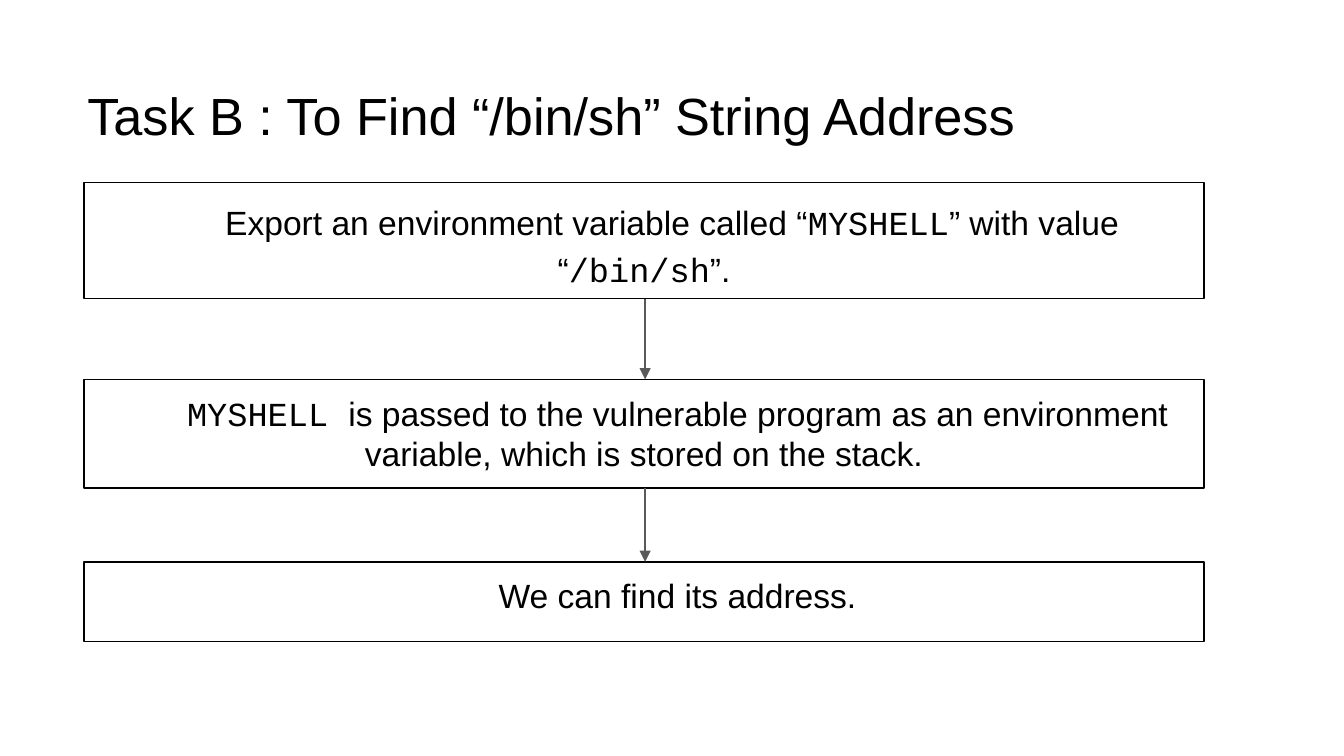
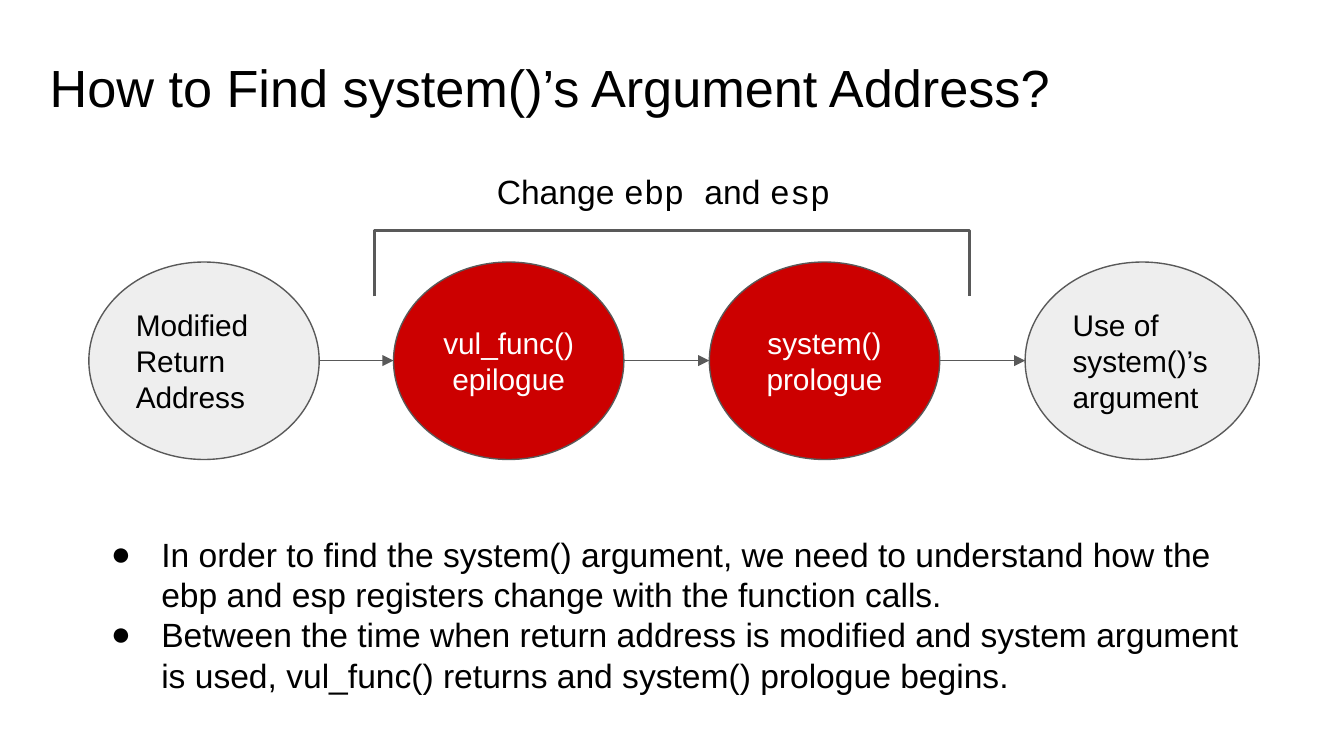
from itertools import pairwise

from lxml import etree
from pptx import Presentation
from pptx.dml.color import RGBColor
from pptx.enum.shapes import MSO_CONNECTOR as Connector, MSO_SHAPE as Shape
from pptx.enum.text import MSO_ANCHOR as Anchor, MSO_AUTO_SIZE as AutoSize, PP_ALIGN as Align
from pptx.oxml.ns import qn
from pptx.util import Pt

COLORS = {"text": "000000", "light_text": "FFFFFF", "line": "595959", "border": "000000",
          "neutral": "EEEEEE", "highlight": "CC0000"}
SANS, MONO = "Arial", "Courier New"
INSET = Pt(7.2)
FRAME_FORMAT = {"word_wrap": True, "auto_size": AutoSize.NONE, "margin_left": INSET,
                "margin_top": INSET, "margin_right": INSET, "margin_bottom": INSET}
PARAGRAPH_FORMAT = {"alignment": Align.LEFT, "line_spacing": 1.0,
                    "space_before": Pt(0), "space_after": Pt(0)}


def color(name):
    return RGBColor.from_string(COLORS[name])


def apply_format(target, values):
    for name, value in values.items():
        setattr(target, name, value)


def place(shape, left, top, width, height):
    apply_format(shape, {"left": Pt(left), "top": Pt(top),
                         "width": Pt(width), "height": Pt(height)})


def write(shape, paragraphs, size, text_color="text", anchor=Anchor.TOP,
          margin=0, indent=0, bullet=None, **paragraph_format):
    """Fill a shape; each paragraph is a list of (text, font name) runs."""
    frame = shape.text_frame
    apply_format(frame, FRAME_FORMAT | {"vertical_anchor": anchor})
    for index, runs in enumerate(paragraphs):
        paragraph = frame.add_paragraph() if index else frame.paragraphs[0]
        apply_format(paragraph, PARAGRAPH_FORMAT | paragraph_format)
        properties = paragraph._p.get_or_add_pPr()
        properties.set("marL", str(Pt(margin)))
        properties.set("indent", str(Pt(indent)))
        if bullet:
            etree.SubElement(properties, qn("a:buFont"), typeface=SANS)
            etree.SubElement(properties, qn("a:buChar"), char=bullet)
        for text, font_name in runs:
            run = paragraph.add_run()
            run.text = text
            apply_format(run.font, {"name": font_name, "size": Pt(size)})
            run.font.color.rgb = color(text_color)


def add_titled_slide(presentation, layout_name, title, left, top):
    layout = presentation.slide_layouts.get_by_name(layout_name)
    slide = presentation.slides.add_slide(layout)
    place(slide.shapes.title, left, top, 671, 45.4)
    write(slide.shapes.title, [[(title, SANS)]], 28)
    return slide


def add_outlined_shape(slide, kind, box, line, fill=None, line_width=0.75):
    shape = slide.shapes.add_shape(kind, *map(Pt, box))
    shape.shadow.inherit = False
    if fill:
        shape.fill.solid()
        shape.fill.fore_color.rgb = color(fill)
    else:
        shape.fill.background()
    shape.line.color.rgb = color(line)
    shape.line.width = Pt(line_width)
    return shape


def add_arrow(slide, start, end):
    arrow = slide.shapes.add_connector(Connector.STRAIGHT, *start, *end)
    arrow.line.color.rgb = color("line")
    arrow.line.width = Pt(0.75)
    etree.SubElement(arrow.line._get_or_add_ln(), qn("a:tailEnd"), type="triangle")
    etree.SubElement(arrow._element.spPr, qn("a:effectLst"))


def build_string_address_slide(presentation):
    slide = add_titled_slide(presentation, "Title Only",
                             "Task B : To Find “/bin/sh” String Address", 39.6, 37.4)
    steps = [
        (97.9, 62.2, [("Export an environment variable called “", SANS), ("MYSHELL", MONO),
                      ("” with value “", SANS), ("/bin/sh", MONO), ("”.", SANS)],
         {"indent": 30, "line_spacing": 1.15, "space_after": Pt(16)}),
        (203.2, 58.2, [("MYSHELL ", MONO),
                       ("is passed to the vulnerable program as an environment variable, "
                        "which is stored on the stack.", SANS)], {"indent": 36}),
        (301, 42.6, [("We can find its address.", SANS)], {"indent": 36}),
    ]
    boxes = []
    for top, height, runs, spacing in steps:
        box = add_outlined_shape(slide, Shape.RECTANGLE, (45, top, 600, height), "border")
        write(box, [runs], 18, alignment=Align.CENTER, **spacing)
        boxes.append(box)
    center = Pt(345.6)
    for upper, lower in pairwise(boxes):
        add_arrow(slide, (center, upper.top + upper.height), (center, lower.top))


def build_argument_address_slide(presentation):
    slide = add_titled_slide(presentation, "Title and Content",
                             "How to Find system()’s Argument Address?", 19.4, 22.3)
    neutral = ("neutral", "text", Align.LEFT)
    highlight = ("highlight", "light_text", Align.CENTER)
    stages = [
        (47.6, 123.4, "Modified Return Address", neutral),
        (210.8, 123.4, "vul_func() epilogue", highlight),
        (380, 123.4, "system() prologue", highlight),
        (549.2, 125.4, "Use of system()’s argument", neutral),
    ]
    ellipses = []
    for left, width, label, (fill, text_color, alignment) in stages:
        ellipse = add_outlined_shape(slide, Shape.OVAL, (left, 140.4, width, 105.8),
                                     "line", fill)
        write(ellipse, [[(label, SANS)]], 16, text_color, Anchor.MIDDLE, alignment=alignment)
        ellipses.append(ellipse)
    middle = Pt(193.2)
    for before, after in pairwise(ellipses):
        add_arrow(slide, (before.left + before.width, middle), (after.left, middle))

    bracket = add_outlined_shape(slide, Shape.LEFT_BRACKET, (342.3, -18.2, 35.4, 318.4),
                                 "line", line_width=1.5)
    bracket.rotation = 90
    bracket.adjustments[0] = 0
    caption = slide.shapes.add_textbox(Pt(201.6), Pt(84.2), Pt(318.4), Pt(35.4))
    write(caption, [[("Change ", SANS), ("ebp ", MONO), ("and ", SANS), ("esp", MONO)]],
          18, margin=57.5)

    body = slide.placeholders[1]
    place(body, 43.2, 278.6, 633.6, 105.8)
    notes = ["In order to find the system() argument, we need to understand how the ebp and "
             "esp registers change with the function calls.",
             "Between the time when return address is modified and system argument is used, "
             "vul_func() returns and system() prologue begins."]
    write(body, [[(note, SANS)] for note in notes], 18, margin=36, indent=-27, bullet="●")


def main():
    presentation = Presentation()
    presentation.slide_width, presentation.slide_height = Pt(720), Pt(405)
    build_string_address_slide(presentation)
    build_argument_address_slide(presentation)
    presentation.save("out.pptx")


if __name__ == "__main__":
    main()
